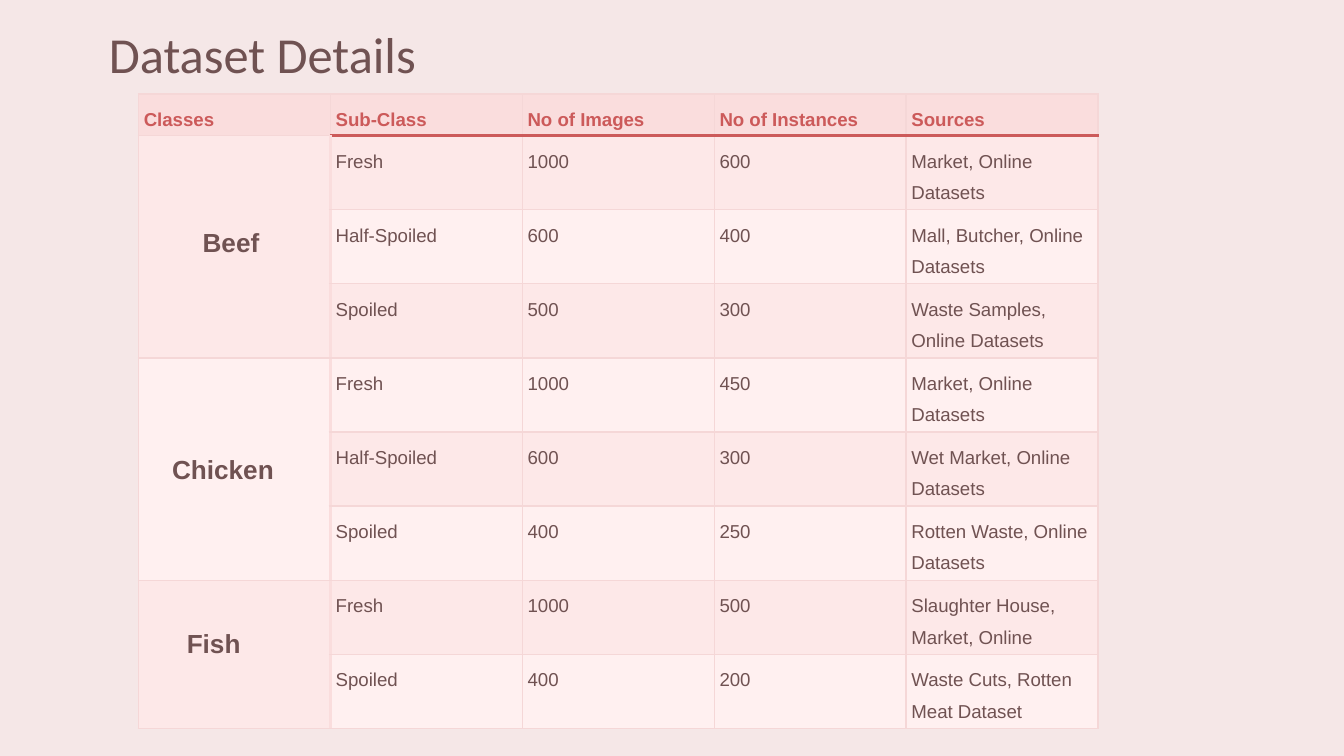
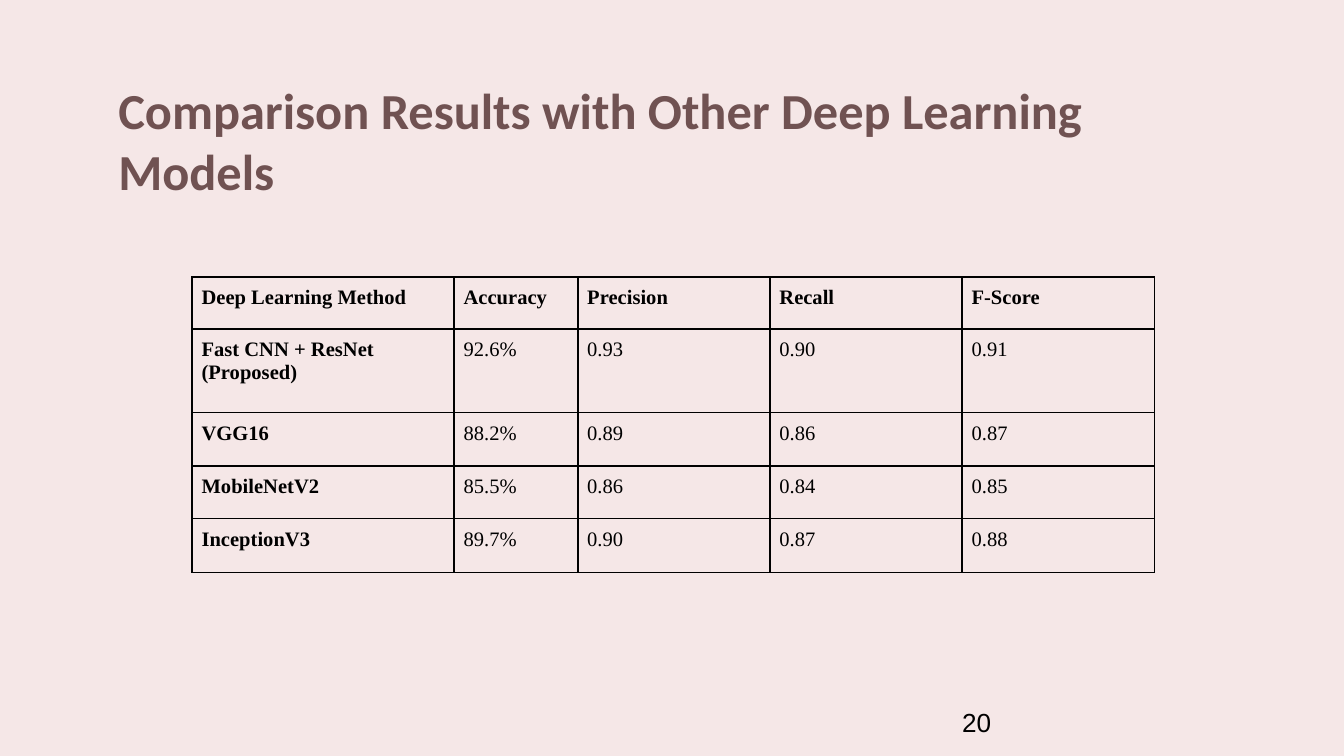
import pptx
import pptx.util
import pptx.dml.color
import pptx.enum.text
import pptx.oxml.ns
from lxml import etree
from dataclasses import dataclass

Inches, Pt = pptx.util.Inches, pptx.util.Pt
RGB = pptx.dml.color.RGBColor.from_string
ALIGN, ANCHOR = pptx.enum.text.PP_ALIGN, pptx.enum.text.MSO_ANCHOR


@dataclass(frozen=True)
class Theme:
    page: str = "F5E7E7"
    brown: str = "705252"
    red: str = "CC5A5A"
    header: str = "FADDDD"
    band: str = "FDE8E8"
    pale: str = "FFF0F0"
    grid: str = "F5D7D7"
    black: str = "000000"
    title_font: str = "Calibri"
    body_font: str = "Arial"
    results_font: str = "Times New Roman"
    title_size: float = 27
    class_size: float = 14
    number_size: float = 14
    dataset_size: float = 10
    results_size: float = 11


T = Theme()

DATASET_HEAD = ["Classes", "Sub-Class", "No of Images", "No of Instances", "Sources"]
# Class name, alignment, left, top and right insets, rows
DATASET = [
    ("Beef", ALIGN.CENTER, 0.04, 0.58, 0.09, [
        ("Fresh", "1000", "600", "Market, Online Datasets"),
        ("Half-Spoiled", "600", "400", "Mall, Butcher, Online Datasets"),
        ("Spoiled", "500", "300", "Waste Samples, Online Datasets")]),
    ("Chicken", ALIGN.LEFT, 0.25, 0.62, 0.04, [
        ("Fresh", "1000", "450", "Market, Online Datasets"),
        ("Half-Spoiled", "600", "300", "Wet Market, Online Datasets"),
        ("Spoiled", "400", "250", "Rotten Waste, Online Datasets")]),
    ("Fish", ALIGN.LEFT, 0.36, 0.26, 0.04, [
        ("Fresh", "1000", "500", "Slaughter House, Market, Online"),
        ("Spoiled", "400", "200", "Waste Cuts, Rotten Meat Dataset")]),
]
RESULTS = [
    ("Deep Learning Method", "Accuracy", "Precision", "Recall", "F-Score"),
    ("Fast CNN + ResNet (Proposed)", "92.6%", "0.93", "0.90", "0.91"),
    ("VGG16", "88.2%", "0.89", "0.86", "0.87"),
    ("MobileNetV2", "85.5%", "0.86", "0.84", "0.85"),
    ("InceptionV3", "89.7%", "0.90", "0.87", "0.88"),
]


def set_attrs(obj, **values):
    for name, value in values.items():
        setattr(obj, name, value)


def write(tf, text, font, size, color, bold=False, align=ALIGN.LEFT, spacing=1.0):
    p = tf.paragraphs[0]
    set_attrs(p, alignment=align, line_spacing=spacing)
    r = p.add_run()
    r.text = text
    set_attrs(r.font, name=font, size=Pt(size), bold=bold)
    r.font.color.rgb = RGB(color)


def set_borders(cell, **sides):
    """Draw each side, L R T B, from a (colour, points) pair."""
    tcPr = cell._tc.get_or_add_tcPr()
    for side in "LRTB":
        color, width = sides[side]
        ln = etree.SubElement(tcPr, pptx.oxml.ns.qn(f"a:ln{side}"), w=str(Pt(width)))
        fill = etree.SubElement(ln, pptx.oxml.ns.qn("a:solidFill"))
        etree.SubElement(fill, pptx.oxml.ns.qn("a:srgbClr"), val=color)


def set_insets(cell, left, top, right, bottom):
    set_attrs(cell, margin_left=Inches(left), margin_top=Inches(top),
              margin_right=Inches(right), margin_bottom=Inches(bottom))


def add_title(s, text, left, top, bold=False):
    sp = s.shapes.title
    set_attrs(sp, left=Inches(left), top=Inches(top),
              width=Inches(8.44), height=Inches(0.63))
    tf = sp.text_frame
    inset = Inches(0.1)
    set_attrs(tf, word_wrap=True, vertical_anchor=ANCHOR.TOP,
              auto_size=pptx.enum.text.MSO_AUTO_SIZE.NONE,
              margin_left=inset, margin_top=inset,
              margin_right=inset, margin_bottom=inset)
    write(tf, text, T.title_font, T.title_size, T.brown, bold)


def add_page_number(s, text, left, top):
    sp = s.shapes.add_textbox(Inches(left), Inches(top), Inches(2.25), Inches(0.3))
    sp.text_frame.word_wrap = True
    write(sp.text_frame, text, T.body_font, T.number_size, T.black)


def add_grid(s, left, top, cols, rows):
    frame = s.shapes.add_table(len(rows), len(cols), Inches(left), Inches(top),
                               Inches(sum(cols)), Inches(sum(rows)))
    table = frame.table
    set_attrs(table, first_row=False, horz_banding=False)
    for col, width in zip(table.columns, cols):
        col.width = Inches(width)
    for row, height in zip(table.rows, rows):
        row.height = Inches(height)
    return table


def dataset_table(s, left, top):
    table = add_grid(s, left, top, [7.14 / 5] * 5, [0.31] + [4.41 / 8] * 8)
    thin, rule, edge = (T.grid, 0.75), (T.red, 2), (T.header, 2)

    # Borders and banded fills
    for y in range(9):
        for x in range(5):
            cell = table.cell(y, x)
            set_insets(cell, 0.04, 0.04, 0.04, 0.02)
            set_borders(cell,
                        L=edge if y and x == 1 else thin,
                        R=edge if y and x == 0 else thin,
                        T=rule if y == 1 and x else thin,
                        B=rule if y == 0 and x else thin)
            cell.fill.solid()
            color = T.header if y == 0 else T.band if y % 2 else T.pale
            cell.fill.fore_color.rgb = RGB(color)

    # Header row
    for x, text in enumerate(DATASET_HEAD):
        write(table.cell(0, x).text_frame, text, T.body_font, T.dataset_size,
              T.red, bold=True, spacing=1.5)

    # One merged class cell beside each group of rows
    y = 1
    for name, align, inset_left, inset_top, inset_right, rows in DATASET:
        cell = table.cell(y, 0)
        cell.merge(table.cell(y + len(rows) - 1, 0))
        set_insets(cell, inset_left, inset_top, inset_right, 0.04)
        write(cell.text_frame, name, T.body_font, T.class_size, T.brown,
              bold=True, align=align, spacing=1.5)
        for values in rows:
            for x, text in enumerate(values, 1):
                write(table.cell(y, x).text_frame, text, T.body_font,
                      T.dataset_size, T.brown, spacing=1.5)
            y += 1


def results_table(s, left, top):
    table = add_grid(s, left, top, [1.95, 0.92] + [1.43] * 3,
                     [0.39, 0.62, 0.4, 0.39, 0.4])
    line = (T.black, 1)
    for y, values in enumerate(RESULTS):
        for x, text in enumerate(values):
            cell = table.cell(y, x)
            set_insets(cell, 0.07, 0.07, 0.07, 0.07)
            set_borders(cell, L=line, R=line, T=line, B=line)
            cell.fill.background()
            write(cell.text_frame, text, T.results_font, T.results_size,
                  T.black, bold=x == 0 or y == 0)


def dataset_slide(prs):
    s = prs.slides.add_slide(prs.slide_layouts[5])
    add_title(s, "Dataset Details", 0.71, 0.07)
    dataset_table(s, 1.03, 0.7)


def results_slide(prs):
    s = prs.slides.add_slide(prs.slide_layouts[5])
    add_title(s, "Comparison Results with Other Deep Learning Models",
              0.78, 0.49, bold=True)
    results_table(s, 1.43, 2.06)
    add_page_number(s, "20", 7.06, 5.21)


def main():
    prs = pptx.Presentation()
    # Widescreen, 16:9
    set_attrs(prs, slide_width=Inches(10), slide_height=Inches(10 * 9 / 16))
    # Shared background
    fill = prs.slide_master.background.fill
    fill.solid()
    fill.fore_color.rgb = RGB(T.page)
    dataset_slide(prs)
    results_slide(prs)
    prs.save("out.pptx")


if __name__ == "__main__":
    main()
